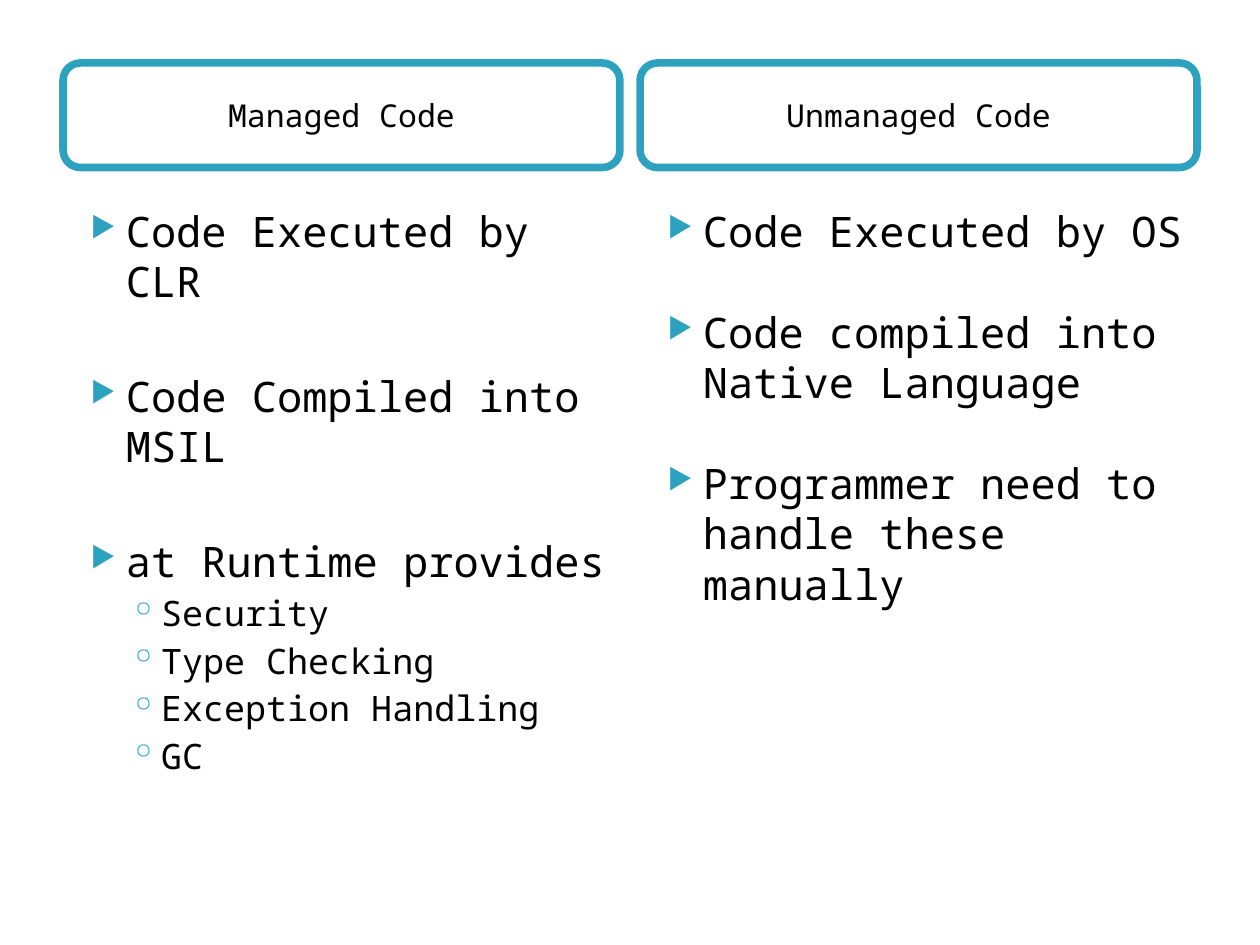
"""Build a two-column comparison of managed and unmanaged code."""
from lxml import etree
from pptx import Presentation, util as u
from pptx.dml.color import RGBColor
from pptx.enum import shapes, text
from pptx.oxml.ns import qn

TEAL = RGBColor(0x2D, 0xA2, 0xBF)
WHITE = RGBColor(0xFF, 0xFF, 0xFF)
BLACK = RGBColor(0, 0, 0)
FONT = "Noto Sans Mono"

LEVELS = [
    {"size": 24, "margin": 0.4, "indent": -0.28, "char": "▶", "scale": 68},
    {"size": 20, "margin": 0.68, "indent": -0.25, "char": "◦", "scale": 100},
]
COLUMNS = [
    ("Managed Code", 36.8, [
        (0, "Code Executed by CLR"),
        (0, "Code Compiled into MSIL"),
        (0, "at Runtime provides"),
        (1, "Security"),
        (1, "Type Checking"),
        (1, "Exception Handling"),
        (1, "GC"),
    ]),
    ("Unmanaged Code", 28.8, [
        (0, "Code Executed by OS"),
        (0, "Code compiled into Native Language"),
        (0, "Programmer need to handle these manually"),
    ]),
]


def add_run(p, words, size):
    r = p.add_run()
    r.text = words
    for name, value in {"name": FONT, "size": u.Pt(size)}.items():
        setattr(r.font, name, value)
    r.font.color.rgb = BLACK


def add_bullet(p, level):
    pPr = p._p.get_or_add_pPr()
    pPr.set("marL", str(u.Inches(level["margin"])))
    pPr.set("indent", str(u.Inches(level["indent"])))
    color = etree.SubElement(pPr, qn("a:buClr"))
    etree.SubElement(color, qn("a:srgbClr"), val=str(TEAL))
    etree.SubElement(pPr, qn("a:buSzPct"), val=str(level["scale"] * 1000))
    etree.SubElement(pPr, qn("a:buChar"), char=level["char"])


prs = Presentation()
prs.slide_width, prs.slide_height = u.Inches(10), u.Inches(7.5)
s = prs.slides.add_slide(prs.slide_layouts[6])

margin, gap = u.Inches(0.5), u.Inches(0.16)
col_w = (prs.slide_width - 2 * margin - gap) // 2
head_h = u.Inches(0.83)
body_top, body_h = u.Inches(1.58), u.Inches(4.31)

for col, (title, spacing, items) in enumerate(COLUMNS):
    left = margin + col * (col_w + gap)

    tf = s.shapes.add_textbox(left, body_top, col_w, body_h).text_frame
    tf.word_wrap = True
    for i, (depth, words) in enumerate(items):
        p = tf.add_paragraph() if i else tf.paragraphs[0]
        before = 3.2 if depth else spacing if i else 0
        for name, value in {"level": depth, "space_before": u.Pt(before)}.items():
            setattr(p, name, value)
        add_bullet(p, LEVELS[depth])
        add_run(p, words, LEVELS[depth]["size"])

    sp = s.shapes.add_shape(shapes.MSO_SHAPE.ROUNDED_RECTANGLE,
                            left, margin, col_w, head_h)
    sp.shadow.inherit = False
    sp.fill.solid()
    sp.fill.fore_color.rgb = WHITE
    sp.line.color.rgb = TEAL
    sp.line.width = u.Pt(4.33)
    tf = sp.text_frame
    for name, value in {"word_wrap": True,
                        "vertical_anchor": text.MSO_ANCHOR.MIDDLE}.items():
        setattr(tf, name, value)
    p = tf.paragraphs[0]
    p.alignment = text.PP_ALIGN.CENTER
    add_run(p, title, 18)

prs.save("out.pptx")
